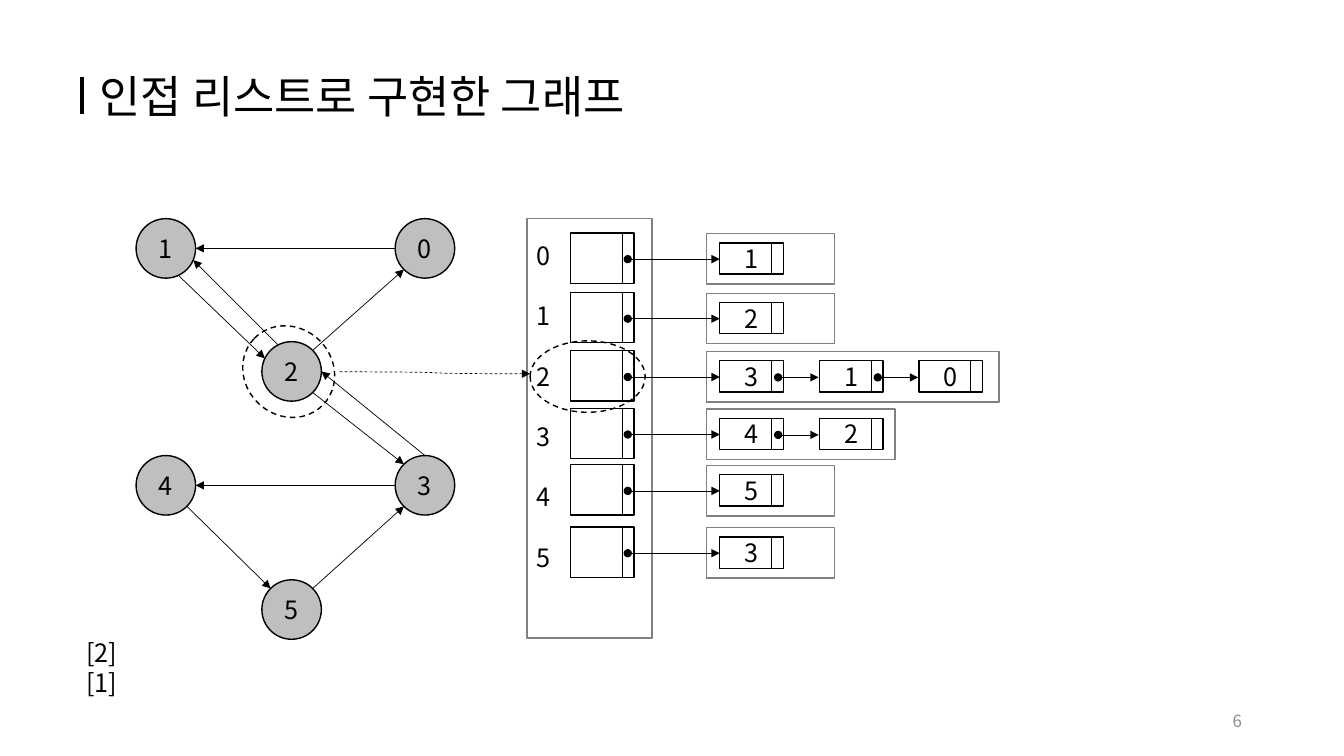
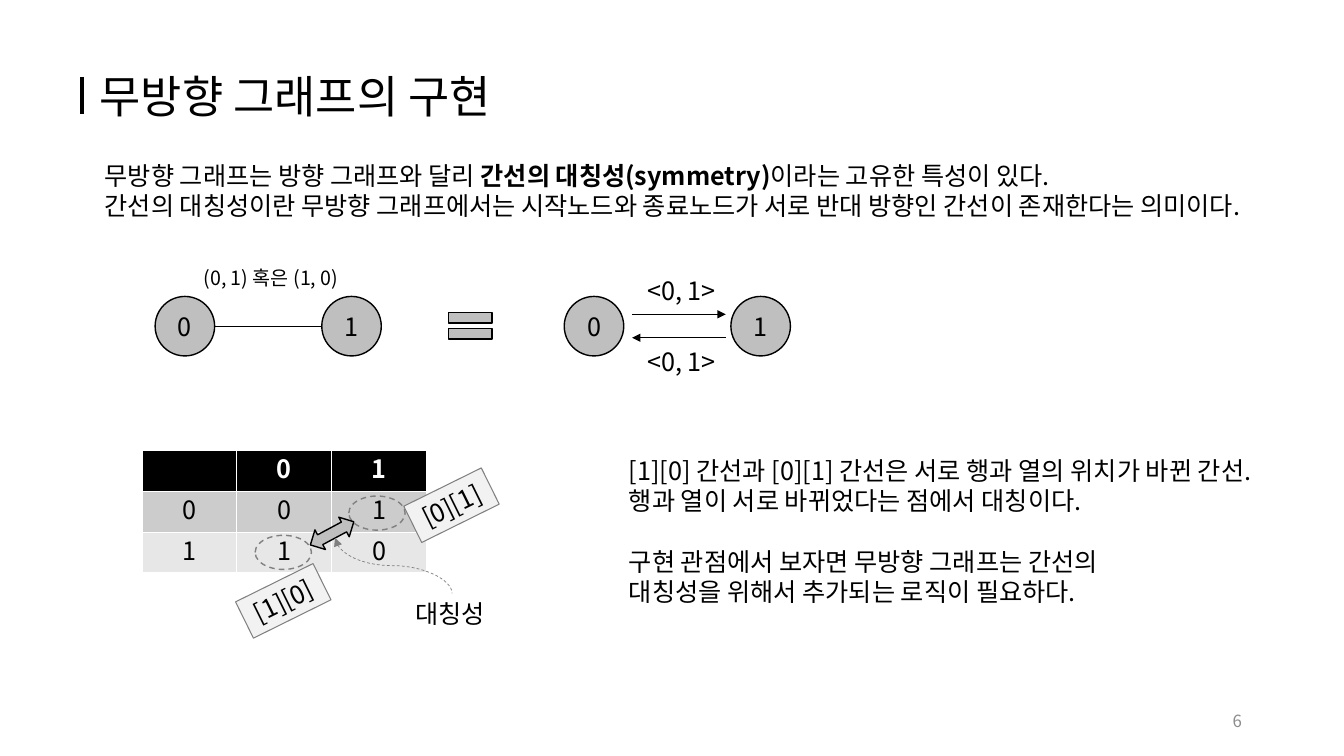
from math import cos, radians, sin

from lxml.etree import SubElement
from pptx import Presentation
from pptx.dml.color import RGBColor
from pptx.enum.dml import MSO_LINE
from pptx.enum.shapes import MSO_CONNECTOR as LINK, MSO_SHAPE as SHAPE
from pptx.enum.text import MSO_ANCHOR as ANCHOR, PP_ALIGN as ALIGN
from pptx.oxml.ns import qn
from pptx.util import Cm, Pt

BLACK, WHITE = "000000", "FFFFFF"
GRAY, NODE_GRAY, PAGE_GRAY, LABEL_GRAY = "808080", "BFBFBF", "8C8C8C", "F2F2F2"
NODE = 1.5


def rgb(value):
    return RGBColor.from_string(value)


def site(corner, angle):
    x, y = corner
    r = NODE / 2
    a = radians(angle)
    return x + r + r * cos(a), y + r + r * sin(a)


class Deck:
    font = "Noto Sans CJK KR"
    leading = 1.2

    def __init__(self):
        self.prs = Presentation()
        self.prs.slide_width, self.prs.slide_height = Cm(33.87), Cm(19.05)

    def slide(self, title, number):
        self.s = self.prs.slides.add_slide(self.prs.slide_layouts[5])
        sp = self.s.shapes.title
        sp.left, sp.top, sp.width, sp.height = map(Cm, (2.26, 1.6, 20.27, 1.63))
        sp.text_frame.vertical_anchor = ANCHOR.TOP
        self.fill_text(sp.text_frame, [title], 32)
        self.line((2.06, 1.93), (2.06, 2.87), width=3)
        self.text(23.93, 17.65, 7.62, 1.02, [number], 12, PAGE_GRAY, ALIGN.RIGHT, ANCHOR.MIDDLE)

    def style_run(self, r, size, color, bold=False):
        f = r.font
        f.size, f.name, f.color.rgb = Pt(size), self.font, rgb(color)
        if bold:
            f.bold = True
        SubElement(f._element, qn("a:ea")).set("typeface", self.font)

    def style(self, p, size, color, align, bold=False):
        p.alignment = align
        p.line_spacing = Pt(size * self.leading)
        for r in p.runs:
            self.style_run(r, size, color, bold)

    def fill_text(self, tf, lines, size=18, color=BLACK, align=ALIGN.LEFT):
        tf.word_wrap = True
        tf.text = "\n".join(lines)
        for p in tf.paragraphs:
            self.style(p, size, color, align)

    def text(self, x, y, w, h, lines, size=18, color=BLACK, align=ALIGN.LEFT, anchor=ANCHOR.TOP):
        tf = self.s.shapes.add_textbox(*map(Cm, (x, y, w, h))).text_frame
        tf.vertical_anchor = anchor
        self.fill_text(tf, lines, size, color, align)
        return tf.paragraphs

    def shape(self, kind, x, y, w, h, text="", fill=None, line=BLACK, width=1, dash=False, turn=0):
        sp = self.s.shapes.add_shape(kind, *map(Cm, (x, y, w, h)))
        sp.shadow.inherit = False
        sp.rotation = turn
        if fill:
            sp.fill.solid()
            sp.fill.fore_color.rgb = rgb(fill)
        else:
            sp.fill.background()
        self.stroke(sp.line, line, width, dash)
        if text:
            tf = sp.text_frame
            tf.margin_left = tf.margin_right = tf.margin_top = tf.margin_bottom = 0
            tf.vertical_anchor = ANCHOR.MIDDLE
            self.fill_text(tf, [text], align=ALIGN.CENTER)

    def stroke(self, line, color, width, dash):
        line.color.rgb, line.width = rgb(color), Pt(width)
        if dash:
            line.dash_style = MSO_LINE.DASH

    def line(self, start, end, head=None, tail=None, color=BLACK, width=0.5,
             dash=False, kind=LINK.STRAIGHT, turn=0):
        c = self.s.shapes.add_connector(kind, *map(Cm, (*start, *end)))
        self.stroke(c.line, color, width, dash)
        pr = c._element.spPr
        for tag, arrow in (("a:headEnd", head), ("a:tailEnd", tail)):
            if arrow:
                SubElement(pr.find(qn("a:ln")), qn(tag)).set("type", arrow)
        SubElement(pr, qn("a:effectLst"))
        if turn:
            pr.find(qn("a:xfrm")).set("rot", str(turn * 60000))

    def arrow(self, start, end, **look):
        self.line(start, end, tail="triangle", **look)

    def node(self, corner, name):
        self.shape(SHAPE.OVAL, *corner, NODE, NODE, name, fill=NODE_GRAY)

    def ring(self, x, y, w, h, color=BLACK, turn=0):
        self.shape(SHAPE.OVAL, x, y, w, h, line=color, dash=True, turn=turn)

    def slot(self, x, y, h, text=""):
        self.shape(SHAPE.RECTANGLE, x, y, 1.6, h, text)
        self.line((x + 1.3, y), (x + 1.3, y + h))

    def tag(self, x, y, text):
        self.shape(SHAPE.RECTANGLE, x, y, 2.18, 1.02, text, LABEL_GRAY, GRAY, 0.75, turn=333.7)

    def table(self, x, y, col, row, rows, fills):
        t = self.s.shapes.add_table(len(rows), len(rows[0]), Cm(x), Cm(y),
                                    Cm(col * len(rows[0])), Cm(row * len(rows))).table
        for i, (values, fill) in enumerate(zip(rows, fills)):
            t.rows[i].height = Cm(row)
            for j, value in enumerate(values):
                cell = t.cell(i, j)
                cell.fill.solid()
                cell.fill.fore_color.rgb = rgb(fill)
                cell.text_frame.text = value
                self.style(cell.text_frame.paragraphs[0], 18, BLACK if i else WHITE,
                           ALIGN.CENTER, bold=i == 0)


def adjacency_list(d):
    d.slide("인접 리스트로 구현한 그래프", "6")
    left, middle, right = 3.43, 6.6, 9.96
    nodes = {"0": (right, 5.51), "1": (left, 5.51), "2": (middle, 8.61),
             "3": (right, 11.48), "4": (left, 11.48), "5": (middle, 14.61)}
    edges = [("0", 180, "1", 0), ("2", 315, "0", 135), ("2", 45, "3", 225),
             ("3", 270, "2", 0), ("3", 180, "4", 0), ("4", 45, "5", 225),
             ("5", 315, "3", 135), ("1", 65, "2", 206), ("2", 243, "1", 23)]
    for name, corner in nodes.items():
        d.node(corner, name)
    for a, leave, b, enter in edges:
        d.arrow(site(nodes[a], leave), site(nodes[b], enter))
    d.ring(6.07, 8.26, 2.41, 2.21, turn=44.1)
    d.text(1.93, 15.93, 1.6, 1.02, ["[2][1]"])

    d.shape(SHAPE.RECTANGLE, 13.28, 5.51, 3.15, 10.57, line=GRAY)
    for p in d.text(13.28, 5.92, 0.89, 8.71, list(nodes)):
        p.space_after = Pt(21.6)
    rows = [(5.87, 3.22, "1"), (7.37, 3.22, "2"), (8.84, 7.37, "310"),
            (10.29, 4.75, "42"), (11.71, 3.22, "5"), (13.28, 3.22, "3")]
    for y, width, targets in rows:
        d.slot(14.38, y, 1.27)
        d.shape(SHAPE.RECTANGLE, 17.81, y + 0.02, width, 1.27, line=GRAY)
        d.arrow((15.82, y + 0.66), (18.14, y + 0.66), head="oval")
        for i, target in enumerate(targets):
            x = 18.14 + 2.51 * i
            d.slot(x, y + 0.25, 0.79, target)
            if i:
                d.arrow((x - 1.04, y + 0.67), (x - 0.02, y + 0.67), head="oval")
    d.ring(13.36, 8.59, 2.9, 1.8)
    d.arrow((8.56, 9.37), (13.36, 9.42), dash=True, kind=LINK.CURVE)


def undirected_graph(d):
    d.slide("무방향 그래프의 구현", "6")
    intro = d.text(2.39, 3.91, 29.77, 1.8, [
        "무방향 그래프는 방향 그래프와 달리 ",
        "간선의 대칭성이란 무방향 그래프에서는 시작노드와 종료노드가 서로 반대 방향인 간선이 존재한다는 의미이다."])
    for part, bold in (("간선의 대칭성(symmetry)", True), ("이라는 고유한 특성이 있다.", False)):
        r = intro[0].add_run()
        r.text = part
        d.style_run(r, 18, BLACK, bold)

    top = 7.47
    for x in (3.91, 14.22):
        d.node((x, top), "0")
        d.node((x + 4.2, top), "1")
    d.line((5.41, 8.22), (8.11, 8.22))
    d.text(4.88, 6.58, 5.44, 0.86, ["(0, 1) 혹은 (1, 0)"], 14)
    d.shape(SHAPE.MATH_EQUAL, 11.1, 7.65, 1.5, 1.12, fill=NODE_GRAY)
    d.arrow((15.93, 7.92), (18.29, 7.92))
    d.arrow((18.29, 8.51), (15.93, 8.51))
    for y in (6.81, 8.61):
        d.text(16.06, y, 2.38, 1.02, ["<0, 1>"])

    d.table(3.58, 11.35, 2.39, 1.03, [["", "0", "1"], ["0", "0", "1"], ["1", "1", "0"]],
            [BLACK, "CCCCCC", "E7E7E7"])
    d.ring(8.79, 12.5, 1.42, 0.86, GRAY)
    d.ring(6.43, 13.49, 1.42, 0.86, GRAY)
    d.tag(10.29, 12.22, "[0][1]")
    d.tag(6.05, 14.63, "[1][0]")
    d.shape(SHAPE.LEFT_RIGHT_ARROW, 7.75, 13.16, 1.24, 0.56, fill=NODE_GRAY, turn=331.9)
    d.text(10.21, 14.94, 2.36, 1.02, ["대칭성"])
    d.line((10.62, 12.78), (9.22, 15.73), head="triangle", color=GRAY, dash=True,
           kind=LINK.CURVE, turn=270)
    remarks = d.text(15.6, 11.35, 16.54, 4.11, [
        "[1][0] 간선과 [0][1] 간선은 서로 행과 열의 위치가 바뀐 간선.",
        "행과 열이 서로 바뀌었다는 점에서 대칭이다.",
        "구현 관점에서 보자면 무방향 그래프는 간선의",
        "대칭성을 위해서 추가되는 로직이 필요하다."])
    remarks[2].space_before = Pt(21.6)


def main():
    d = Deck()
    adjacency_list(d)
    undirected_graph(d)
    d.prs.save("out.pptx")


if __name__ == "__main__":
    main()
